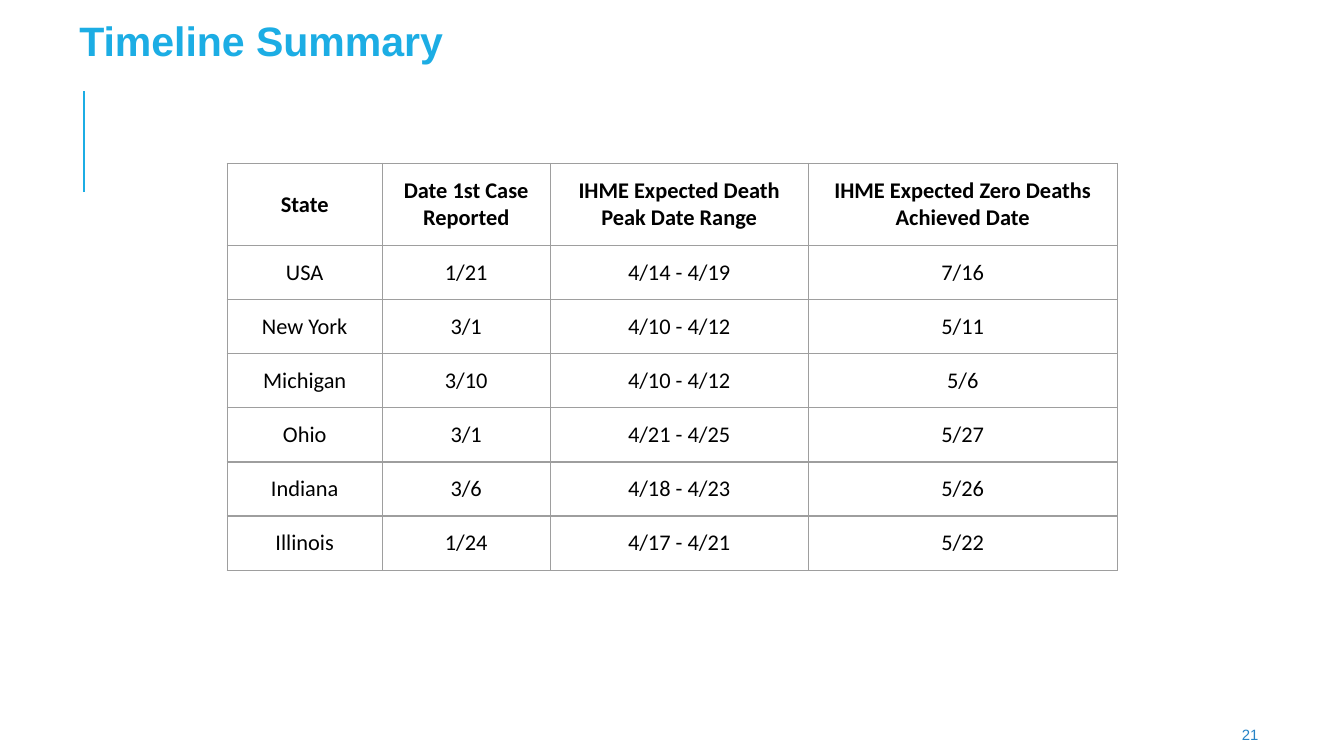
from dataclasses import dataclass

import pptx
import pptx.dml.color
import pptx.enum.shapes
import pptx.enum.text
import pptx.oxml.ns
import pptx.util
from lxml import etree

Pt = pptx.util.Pt
RGB = pptx.dml.color.RGBColor
PP_ALIGN = pptx.enum.text.PP_ALIGN
ANCHOR = pptx.enum.text.MSO_ANCHOR
qn = pptx.oxml.ns.qn


@dataclass(frozen=True)
class Theme:
    accent: str = "1CADE4"
    number: str = "2683C6"
    text: str = "000000"
    border: str = "9E9E9E"
    heading_font: str = "Arial"
    table_font: str = "Calibri"
    title_size: float = 22
    table_size: float = 12
    number_size: float = 8


THEME = Theme()

COLUMN_WIDTHS = [83, 90, 138.25, 165.5]
HEADER_HEIGHT, ROW_HEIGHT = 44, 29
ROWS = [
    ("State", "Date 1st Case Reported", "IHME Expected Death Peak Date Range",
     "IHME Expected Zero Deaths Achieved Date"),
    ("USA", "1/21", "4/14 - 4/19", "7/16"),
    ("New York", "3/1", "4/10 - 4/12", "5/11"),
    ("Michigan", "3/10", "4/10 - 4/12", "5/6"),
    ("Ohio", "3/1", "4/21 - 4/25", "5/27"),
    ("Indiana", "3/6", "4/18 - 4/23", "5/26"),
    ("Illinois", "1/24", "4/17 - 4/21", "5/22"),
]


def set_text(tf, text, font, size, color, bold=False, align=PP_ALIGN.LEFT,
             anchor=ANCHOR.TOP, margin=0):
    tf.text = text
    tf.word_wrap = True
    tf.vertical_anchor = anchor
    tf.margin_left = tf.margin_right = tf.margin_top = tf.margin_bottom = Pt(margin)
    style_paragraph(tf.paragraphs[0], font, size, color, bold, align)


def style_paragraph(p, font, size, color, bold, align):
    p.alignment = align
    p.font.name = font
    p.font.size = Pt(size)
    p.font.bold = bold
    p.font.color.rgb = RGB.from_string(color)


def add_title(s, text):
    sp = s.shapes.title
    sp.left, sp.top, sp.width, sp.height = Pt(42.5), Pt(12.25), Pt(476.5), Pt(19)
    set_text(sp.text_frame, text, THEME.heading_font, THEME.title_size,
             THEME.accent, bold=True, anchor=ANCHOR.MIDDLE)
    sp.text_frame.auto_size = pptx.enum.text.MSO_AUTO_SIZE.NONE


def add_accent_line(s):
    line = s.shapes.add_connector(pptx.enum.shapes.MSO_CONNECTOR.STRAIGHT,
                                  Pt(45), Pt(103), Pt(45), Pt(49))
    line.line.color.rgb = RGB.from_string(THEME.accent)
    line.line.width = Pt(1.5)
    etree.SubElement(line._element.spPr, qn("a:effectLst"))


def add_page_number(s, number):
    sp = s.shapes.add_textbox(Pt(665.25), Pt(388.75), Pt(25), Pt(11.5))
    set_text(sp.text_frame, number, THEME.heading_font, THEME.number_size, THEME.number)


def add_borders(cell):
    tc_pr = cell._tc.get_or_add_tcPr()
    for side in ("lnL", "lnR", "lnT", "lnB"):
        ln = etree.SubElement(tc_pr, qn(f"a:{side}"), w=str(Pt(0.75)))
        fill = etree.SubElement(ln, qn("a:solidFill"))
        etree.SubElement(fill, qn("a:srgbClr"), val=THEME.border)


def fill_cell(cell, text, bold):
    cell.text = text
    cell.vertical_anchor = ANCHOR.MIDDLE
    cell.margin_left = cell.margin_right = Pt(7.2)
    cell.margin_top = cell.margin_bottom = Pt(7.2)
    style_paragraph(cell.text_frame.paragraphs[0], THEME.table_font,
                    THEME.table_size, THEME.text, bold, PP_ALIGN.CENTER)
    add_borders(cell)
    cell.fill.background()


def add_timeline_table(s):
    heights = [HEADER_HEIGHT] + [ROW_HEIGHT] * (len(ROWS) - 1)
    table = s.shapes.add_table(len(ROWS), len(COLUMN_WIDTHS), Pt(121.75), Pt(87.5),
                               Pt(sum(COLUMN_WIDTHS)), Pt(sum(heights))).table
    table.first_row = table.horz_banding = False
    for column, width in zip(table.columns, COLUMN_WIDTHS):
        column.width = Pt(width)
    for i, (row, height, texts) in enumerate(zip(table.rows, heights, ROWS)):
        row.height = Pt(height)
        for cell, text in zip(row.cells, texts):
            fill_cell(cell, text, bold=i == 0)


def main():
    prs = pptx.Presentation()
    prs.slide_width, prs.slide_height = Pt(720), Pt(405)
    s = prs.slides.add_slide(prs.slide_layouts[5])
    add_accent_line(s)
    add_title(s, "Timeline Summary")
    add_page_number(s, "21")
    add_timeline_table(s)
    prs.save("out.pptx")


if __name__ == "__main__":
    main()
